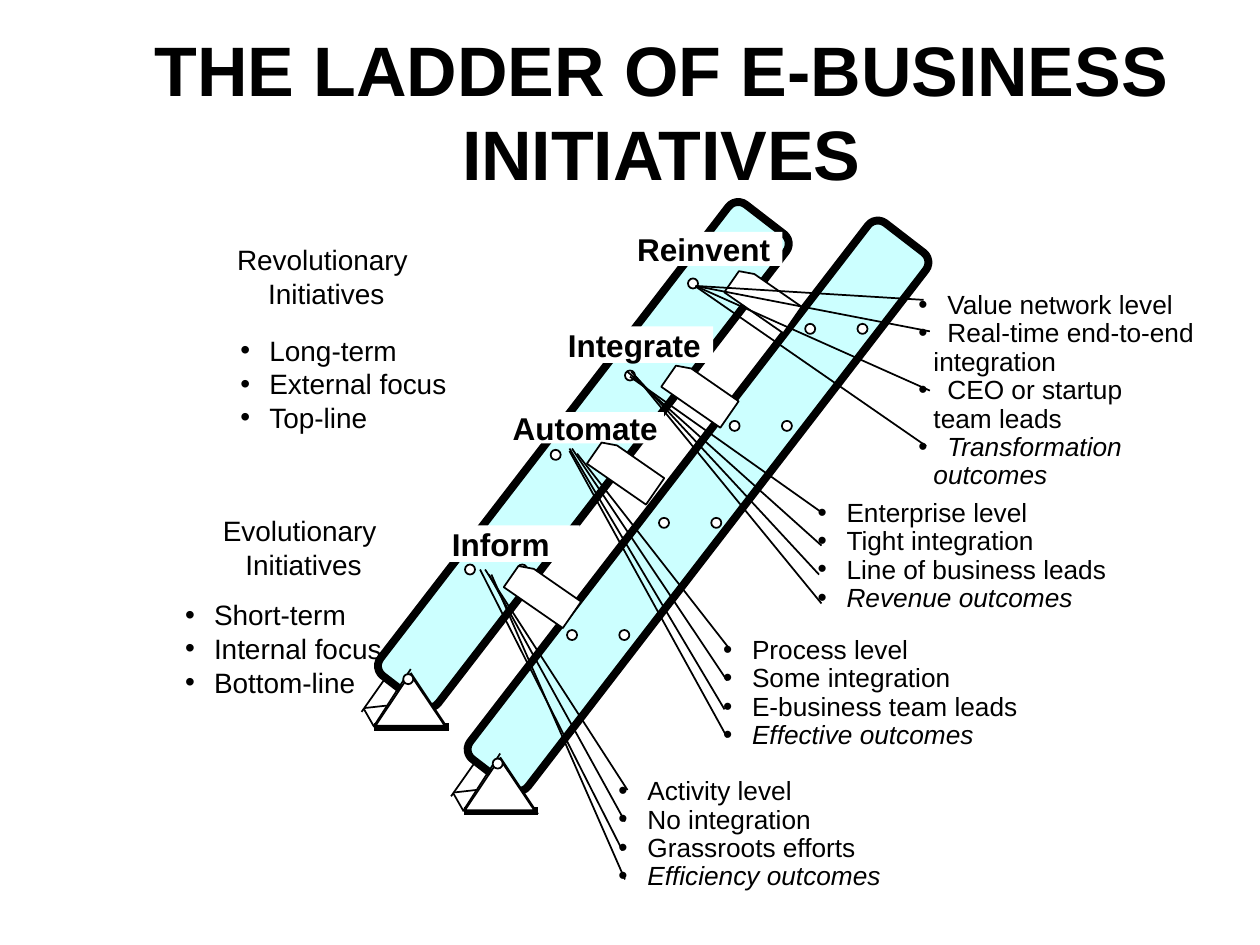
from lxml.etree import SubElement
from pptx import Presentation
from pptx.dml.color import RGBColor
from pptx.enum.shapes import MSO_CONNECTOR, MSO_SHAPE as Shape
from pptx.enum.text import MSO_ANCHOR, PP_ALIGN as Align
from pptx.oxml.ns import qn
from pptx.util import Inches, Pt

# The slide is a grid of 100 columns and 75 rows of square cells.
COLUMNS, ROWS = 100, 75
CELL = Inches(0.1)
BLACK, WHITE, RAIL_BLUE = "000000", "FFFFFF", "CCFFFF"
FONT = "Arial"
BOLT_GAP = 4.15
THIN, THICK = 1, 4.5

RIGHT_BOLTS = [(63.9, 25.7), (57.9, 33.4), (52.3, 41.1), (45, 50)]
LEFT_BOLTS = [(54.6, 22.1), (49.6, 29.4), (43.7, 35.7), (36.9, 44.8)]

RUNG_LABELS = [
    ("Inform", (33.5, 41.7, 12.5, 2.9)),
    ("Automate", (40.2, 32.7, 12.5, 2.5)),
    ("Integrate", (44.1, 25.9, 12.5, 2.9)),
    ("Reinvent", (49.6, 18.4, 12.5, 2.7)),
]
RUNGS = [(40.2, 45.9), (46.8, 36.1), (52.7, 30), (57.7, 22.5)]

# Lines that start with ">" continue the bullet above; "/" marks italics.
STEP_LISTS = [
    ((48.1, 64.8), ["Activity level", "No integration", "Grassroots efforts",
                    "/Efficiency outcomes"]),
    ((56.4, 53.6), ["Process level", "Some integration", "E-business team leads",
                    "/Effective outcomes"]),
    ((63.9, 42.7), ["Enterprise level", "Tight integration",
                    "Line of business leads", "/Revenue outcomes"]),
    ((71.9, 29.6), ["Value network level", "Real-time end-to-end", ">integration",
                    "CEO or startup", ">team leads", "/Transformation",
                    ">/outcomes"]),
]
INITIATIVE_LISTS = [
    ((13.7, 50), ["Short-term", "Internal focus", "Bottom-line"]),
    ((18.1, 29), ["Long-term", "External focus", "Top-line"]),
]
INITIATIVES = [
    ("Evolutionary ", (14.6, 39.6, 19, 7.7)),
    ("Revolutionary ", (16.2, 18.2, 19.4, 7.5)),
]
RAYS = [
    (38.5, 45.2, 49.8, 62.7), (38.8, 45.6, 49.6, 65.2),
    (38.1, 45.2, 49.4, 67.5), (39, 45.6, 49.6, 69.8),
    (45.8, 36, 57.9, 51.5), (45.4, 35.6, 57.7, 54),
    (45.2, 35.6, 57.5, 56.3), (45.2, 35.8, 57.7, 58.5),
    (50, 29.9, 65.4, 40.8), (49.8, 29.5, 65.2, 43.3),
    (50.1, 29.5, 65, 45.6), (50.3, 29.7, 65.2, 47.9),
    (55.3, 22.7, 73.3, 23.8), (55.2, 22.7, 73.8, 26.3),
    (55.2, 22.7, 73.8, 31), (55.3, 22.8, 73.5, 35.4),
]


def cells(*counts):
    return [round(count * CELL) for count in counts]


def color(hex_text):
    return RGBColor.from_string(hex_text)


def add_block(slide, kind, box, fill=WHITE, line=None, rotation=0):
    """Add a filled preset shape; line is its width in points, if any."""
    shape = slide.shapes.add_shape(kind, *cells(*box))
    shape.shadow.inherit = False
    shape.rotation = rotation
    shape.fill.solid()
    shape.fill.fore_color.rgb = color(fill)
    if line:
        shape.line.color.rgb = color(BLACK)
        shape.line.width = Pt(line)
    else:
        shape.line.fill.background()
    return shape


def add_line(slide, ends, width=THIN):
    line = slide.shapes.add_connector(MSO_CONNECTOR.STRAIGHT, *cells(*ends))
    line.line.color.rgb = color(BLACK)
    line.line.width = Pt(width)
    SubElement(line._element.spPr, qn("a:effectLst"))


def add_bolt(slide, x, y):
    add_block(slide, Shape.OVAL, (x, y, 0.8, 0.8), line=THIN)


def add_bolt_pair(slide, x, y):
    for left in (x, x + BOLT_GAP):
        add_bolt(slide, left, y)


def add_rail(slide, box):
    rail = add_block(slide, Shape.ROUNDED_RECTANGLE, box, RAIL_BLUE, THICK, 37.6)
    rail.adjustments[0] = 0.17


def add_foot(slide, x, y):
    """Add the stand under a rail, with x, y at its back upper edge."""
    sides = [(1.9, 0, 0, 2.7), (0.2, 2.5, 1, 3.9), (0.2, 2.4, 2, 2.2),
             (1, 3.8, 3.9, -0.7), (3.9, -0.4, 6.9, 4.1)]
    for x1, y1, x2, y2 in sides:
        add_line(slide, (x + x1, y + y1, x + x2, y + y2))
    add_line(slide, (x + 1, y + 3.9, x + 6.9, y + 3.9), THICK)
    add_block(slide, Shape.FLOWCHART_EXTRACT, (x + 1.1, y - 0.3, 5.5, 4.1),
              line=THIN)
    add_bolt(slide, x + 3.3, y - 0.3)


def add_run(paragraph, text, size, bold=False, italic=False):
    run = paragraph.add_run()
    run.text = text
    run.font.name = FONT
    run.font.size = Pt(size)
    run.font.bold = bold
    run.font.italic = italic
    run.font.color.rgb = color(BLACK)


def write_centered(shape, lines, size, bold=False, wrap=False):
    frame = shape.text_frame
    frame.word_wrap = wrap
    frame.vertical_anchor = MSO_ANCHOR.MIDDLE
    for index, text in enumerate(lines):
        paragraph = frame.add_paragraph() if index else frame.paragraphs[0]
        paragraph.alignment = Align.CENTER
        add_run(paragraph, text, size, bold)


def set_indent(paragraph, margin, bullet):
    properties = paragraph._p.get_or_add_pPr()
    properties.set("marL", str(Inches(margin)))
    properties.set("indent", str(Inches(-margin if bullet else 0)))
    if bullet:
        SubElement(properties, qn("a:buFont"), typeface=FONT)
        SubElement(properties, qn("a:buChar"), char="•")
    else:
        SubElement(properties, qn("a:buNone"))


def add_list(slide, corner, lines, size, spacing=1.0):
    shape = add_block(slide, Shape.RECTANGLE, (*corner, 12.5, 2.9))
    frame = shape.text_frame
    frame.word_wrap = False
    frame.vertical_anchor = MSO_ANCHOR.MIDDLE
    for index, line in enumerate(lines):
        paragraph = frame.add_paragraph() if index else frame.paragraphs[0]
        paragraph.alignment = Align.JUSTIFY
        paragraph.line_spacing = spacing
        continued = line.startswith(">")
        set_indent(paragraph, 0.12 if continued else 0.23, not continued)
        add_run(paragraph, line.lstrip(">/"), size, italic="/" in line)


def main():
    presentation = Presentation()
    presentation.slide_width, presentation.slide_height = cells(COLUMNS, ROWS)
    slide = presentation.slides.add_slide(presentation.slide_layouts[6])

    title = slide.shapes.add_textbox(*cells(10, 2.5, 85, 12.5))
    write_centered(title, ["THE LADDER OF E-BUSINESS INITIATIVES"], 40, True, True)

    for rail, bolts, foot in [
        ((52.5, 13.3, 5.8, 53.7), RIGHT_BOLTS, (35.8, 60.5)),
        ((43.4, 12.5, 5.8, 47.2), LEFT_BOLTS, (28.7, 53.8)),
    ]:
        add_rail(slide, rail)
        for bolt in bolts:
            add_bolt_pair(slide, *bolt)
        add_foot(slide, *foot)

    for text, box in RUNG_LABELS:
        write_centered(add_block(slide, Shape.RECTANGLE, box), [text], 18, True)
    for corner, lines in STEP_LISTS:
        add_list(slide, corner, lines, 15, 0.9)
    for text, box in INITIATIVES:
        write_centered(add_block(slide, Shape.OVAL, box), [text, "Initiatives"], 16)
    for corner, lines in INITIATIVE_LISTS:
        add_list(slide, corner, lines, 16)
    for x, y in RUNGS:
        add_block(slide, Shape.FLOWCHART_CARD, (x, y, 5.7, 2.55), line=THIN,
                  rotation=34.7)
    for ray in RAYS:
        add_line(slide, ray)

    presentation.save("out.pptx")


if __name__ == "__main__":
    main()
